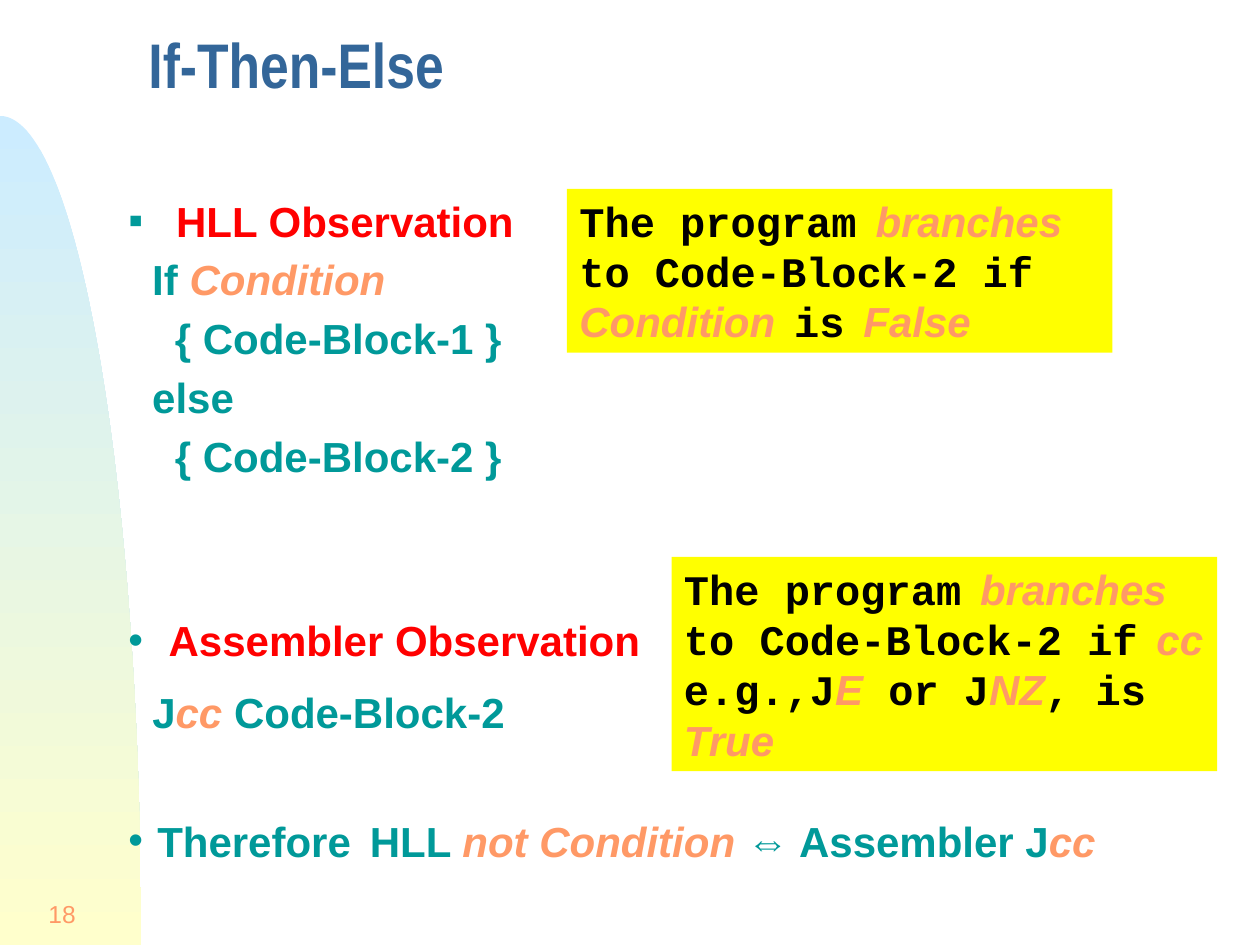
from lxml import etree
from pptx import Presentation
from pptx import util as u
from pptx.dml.color import RGBColor
from pptx.enum import shapes, text
from pptx.oxml import ns

TEAL = RGBColor(0x00, 0x99, 0x99)
RED = RGBColor(0xFF, 0x00, 0x00)
ORANGE = RGBColor(0xFF, 0x99, 0x66)
YELLOW = RGBColor(0xFF, 0xFF, 0x00)
BLACK = RGBColor(0x01, 0x00, 0x00)
BLUE = RGBColor(0x33, 0x66, 0x99)
SKY = RGBColor(0xCC, 0xEC, 0xFF)
CREAM = RGBColor(0xFF, 0xFF, 0xCC)

# Run styles: font, size, colour, bold, italic
STYLES = {
    "title": ("Arial Narrow", 36, BLUE, True, False),
    "number": ("Arial", 14, ORANGE, False, False),
    "body": ("Arial", 24, TEAL, True, False),
    "heading": ("Arial", 24, RED, True, False),
    "term": ("Arial", 24, ORANGE, True, True),
    "code": ("Courier New", 24, BLACK, True, False),
    "gap": ("Courier New", 18, BLACK, True, False),
}
GAP = (" ", "gap")


def add_runs(paragraph, runs):
    for content, style in runs:
        run = paragraph.add_run()
        run.text = content
        font = run.font
        font.name, size, font.color.rgb, font.bold, font.italic = STYLES[style]
        font.size = u.Pt(size)


def format_paragraph(paragraph, before=0, margin=0, bullet=None):
    """Set spacing in percent, left margin in inches and a hanging bullet."""
    properties = paragraph._p.get_or_add_pPr()
    properties.set("marL", str(u.Inches(margin)))
    properties.set("indent", str(u.Inches(-margin if bullet else 0)))

    def add(parent, tag, **attributes):
        return etree.SubElement(parent, ns.qn("a:" + tag), attributes)

    if before:
        add(add(properties, "spcBef"), "spcPct", val=str(before * 1000))
    if bullet:
        add(add(properties, "buClr"), "srgbClr", val=str(TEAL))
        add(properties, "buFont", typeface="Arial")
        add(properties, "buChar", char=bullet)
    else:
        add(properties, "buNone")


def add_text(slide, box, paragraphs, before=0):
    """Add a text box; each paragraph is (margin, bullet, runs)."""
    shape = slide.shapes.add_textbox(*map(u.Inches, box))
    frame = shape.text_frame
    frame.word_wrap = True
    for index, (margin, bullet, runs) in enumerate(paragraphs):
        paragraph = frame.add_paragraph() if index else frame.paragraphs[0]
        format_paragraph(paragraph, before, margin, bullet)
        add_runs(paragraph, runs)
    return shape


def add_callout(slide, box, runs):
    shape = slide.shapes.add_shape(
        shapes.MSO_SHAPE.RECTANGLE, *map(u.Inches, box))
    shape.shadow.inherit = False
    shape.fill.solid()
    shape.fill.fore_color.rgb = YELLOW
    shape.line.fill.background()
    frame = shape.text_frame
    frame.word_wrap = True
    frame.vertical_anchor = text.MSO_ANCHOR.TOP
    frame.auto_size = text.MSO_AUTO_SIZE.SHAPE_TO_FIT_TEXT
    paragraph = frame.paragraphs[0]
    paragraph.alignment = text.PP_ALIGN.LEFT
    format_paragraph(paragraph, before=50)
    add_runs(paragraph, runs)


def add_side_curve(slide, steps=60):
    """Fill the area under a Bezier curve along the left edge."""
    curve = [(0, 0.92), (0.62, 0.92), (1.12, 3.87), (1.12, 7.5)]
    points = []
    for step in range(steps + 1):
        t = step / steps
        weights = ((1 - t) ** 3, 3 * t * (1 - t) ** 2, 3 * t ** 2 * (1 - t), t ** 3)
        points.append(tuple(
            u.Inches(sum(w * point[axis] for w, point in zip(weights, curve)))
            for axis in (0, 1)))
    builder = slide.shapes.build_freeform(*points[0])
    builder.add_line_segments(points[1:] + [(0, u.Inches(7.5))], close=True)
    shape = builder.convert_to_shape()
    shape.shadow.inherit = False
    shape.line.fill.background()
    shape.fill.gradient()
    shape.fill.gradient_angle = 270
    for stop, color in zip(shape.fill.gradient_stops, (SKY, CREAM)):
        stop.color.rgb = color


def main():
    presentation = Presentation()
    presentation.slide_width = u.Inches(10)
    presentation.slide_height = u.Inches(7.5)
    slide = presentation.slides.add_slide(presentation.slide_layouts[6])

    # Background, slide number and title
    add_side_curve(slide)
    number = add_text(slide, (0, 7, 0.7, 0.5), [(0, None, [("18", "number")])])
    number.text_frame.paragraphs[0].alignment = text.PP_ALIGN.RIGHT
    title = add_text(slide, (1.08, 0.17, 8.62, 0.81),
                     [(0, None, [("If-Then-Else", "title")])])
    title.text_frame.paragraphs[0].line_spacing = 0.7
    for shape in (number, title):
        shape.text_frame.vertical_anchor = text.MSO_ANCHOR.MIDDLE

    # High-level language
    add_text(slide, (0.92, 1.5, 3.33, 3.17), [
        (0.38, "▪", [("HLL Observation", "heading")]),
        (0.19, None, [("If ", "body"), ("Condition", "term")]),
        (0.37, None, [("{ Code-Block-1 }", "body")]),
        (0.19, None, [("else", "body")]),
        (0.37, None, [("{ Code-Block-2 }", "body")]),
    ], before=20)
    branch = [("The program", "code"), GAP, ("branches", "term"), GAP,
              ("to Code-Block-2 if", "code"), GAP]
    add_callout(slide, (4.5, 1.5, 4.33, 1.3), branch + [
        ("Condition", "term"), GAP, ("is", "code"), GAP, ("False", "term")])

    # Assembler
    add_text(slide, (0.92, 4.83, 4.42, 1.1), [
        (0.32, "•", [("Assembler Observation", "heading")]),
        (0.19, None, [("J", "body"), ("cc ", "term"), ("Code-Block-2", "body")]),
    ], before=50)
    add_callout(slide, (5.33, 4.42, 4.33, 1.7), branch + [
        ("cc", "term"), GAP, ("e.g.,J", "code"), ("E", "term"),
        (" or J", "code"), ("NZ", "term"), (", is", "code"), GAP,
        ("True", "term")])

    # Conclusion
    add_text(slide, (0.92, 6.42, 8.83, 0.5), [
        (0.23, "•", [("Therefore", "body"), GAP, ("HLL ", "body"),
                     ("not Condition ", "term"), ("⇔ Assembler J", "body"),
                     ("cc", "term")]),
    ], before=50)

    presentation.save("out.pptx")


if __name__ == "__main__":
    main()
